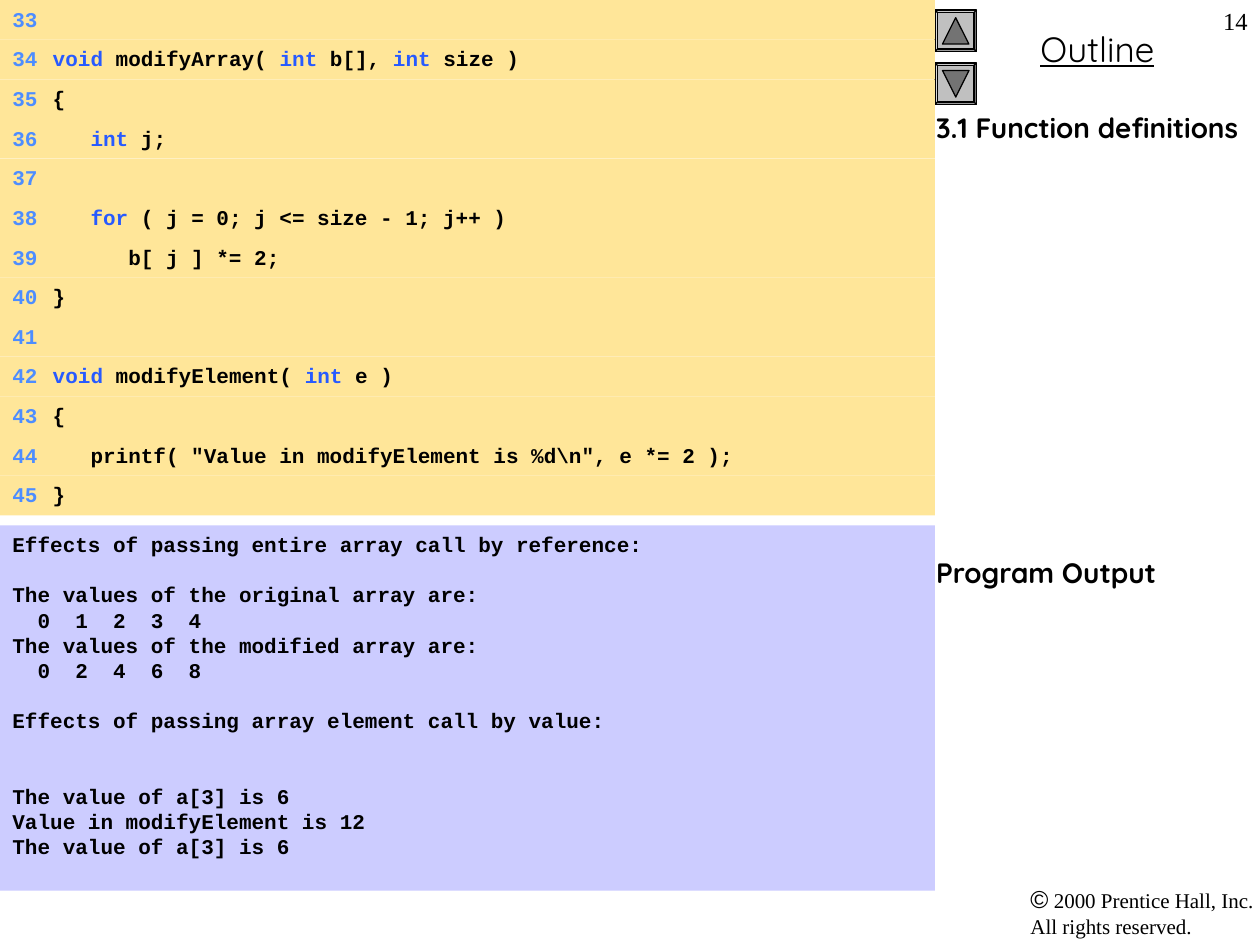
from lxml.etree import SubElement as Sub
from pptx import Presentation
from pptx.dml.color import RGBColor as RGB
from pptx.enum.shapes import MSO_SHAPE as Kind
from pptx.enum.text import MSO_ANCHOR as Anchor, MSO_AUTO_SIZE as Fit, PP_ALIGN as Align
from pptx.oxml.ns import qn
from pptx.util import Inches, Pt

BLACK = RGB(0x00, 0x00, 0x00)
SAND = RGB(0xFF, 0xE6, 0x99)
LILAC = RGB(0xCC, 0xCC, 0xFF)
NUMBER = RGB(0x4D, 0x8D, 0xFF)
KEYWORD = RGB(0x27, 0x5A, 0xFF)
SILVER = RGB(0xC0, 0xC0, 0xC0)
GREY = RGB(0x73, 0x73, 0x73)

MONO, SANS, SERIF = "Courier New", "Quicksand", "Times New Roman"
WIDE = 7.42
FIRST = 33
PITCH = 4.09 / 13

CODE = [
    "",
    "|void| modifyArray( |int| b[], |int| size )",
    "{",
    "   |int| j;",
    "",
    "   |for| ( j = 0; j <= size - 1; j++ )",
    "      b[ j ] *= 2;",
    "}",
    "",
    "|void| modifyElement( |int| e )",
    "{",
    '   printf( "Value in modifyElement is %d\\n", e *= 2 );',
    "}",
]

OUTPUT = [
    ("Effects of passing entire array call by reference:", 0),
    ("The values of the original array are:", 1),
    ("  0  1  2  3  4", 0),
    ("The values of the modified array are:", 0),
    ("  0  2  4  6  8", 0),
    ("Effects of passing array element call by value:", 1),
    ("The value of a[3] is 6", 2),
    ("Value in modifyElement is 12", 0),
    ("The value of a[3] is 6", 0),
]


def style(run, size, face, color=BLACK, bold=False):
    """Format one run."""
    font = run.font
    font.size, font.name, font.bold = Pt(size), face, bold
    font.color.rgb = color


def put(para, text, *look):
    """Add a formatted run to a paragraph."""
    run = para.add_run()
    run.text = text
    style(run, *look)


def place(shape, x, y, w, h):
    """Move and size a shape."""
    shape.left, shape.top = Inches(x), Inches(y)
    shape.width, shape.height = Inches(w), Inches(h)


def frame(shape):
    """Return a wrapped text frame anchored at the top."""
    text = shape.text_frame
    text.word_wrap = True
    text.auto_size = Fit.NONE
    text.vertical_anchor = Anchor.TOP
    return text


def draw(slide, kind, x, y, w, h, fill, edge=None):
    """Add a filled preset shape."""
    shape = slide.shapes.add_shape(kind, Inches(x), Inches(y), Inches(w), Inches(h))
    shape.shadow.inherit = False
    shape.fill.solid()
    shape.fill.fore_color.rgb = fill
    if edge is None:
        shape.line.fill.background()
    else:
        shape.line.color.rgb = edge
        shape.line.width = Pt(0.75)
    return shape


def box(slide, x, y, w, h):
    """Add a text box and return its frame."""
    return frame(slide.shapes.add_textbox(Inches(x), Inches(y), Inches(w), Inches(h)))


def set_tabs(para, stops):
    """Give a paragraph its tab stops."""
    tabs = Sub(para._p.get_or_add_pPr(), qn("a:tabLst"))
    for pos, side in stops:
        Sub(tabs, qn("a:tab"), pos=str(Inches(pos)), algn=side)


def add_code(slide):
    """Draw the numbered code rows."""
    for row, line in enumerate(CODE):
        band = draw(slide, Kind.RECTANGLE, 0, row * PITCH, WIDE, PITCH, SAND)
        para = frame(band).paragraphs[0]
        para.alignment = Align.LEFT
        set_tabs(para, [(0, "l"), (0.15, "r"), (0.32, "l")])
        put(para, f"\t{FIRST + row}\t", 12, MONO, NUMBER, True)
        for part, text in enumerate(line.split("|")):
            if text:
                put(para, text, 12, MONO, KEYWORD if part % 2 else BLACK, True)


def add_output(slide):
    """Draw the program output panel."""
    text = frame(draw(slide, Kind.RECTANGLE, 0, 4.17, WIDE, 2.9, LILAC))
    text.text = "\n".join(line for line, gap in OUTPUT)
    for para, (line, gap) in zip(text.paragraphs, OUTPUT):
        para.alignment = Align.LEFT
        para.space_before = Pt(14.4 * gap)
        style(para.runs[0], 12, MONO, BLACK, True)


def add_button(slide, y, tip, turn):
    """Draw a bevelled button with a triangle."""
    face = draw(slide, Kind.BEVEL, WIDE, y, 0.33, 0.33, SILVER, BLACK)
    face.adjustments[0] = 0.06
    arrow = draw(slide, Kind.ISOSCELES_TRIANGLE, 7.48, tip, 0.21, 0.21, GREY, BLACK)
    arrow.rotation = turn


def add_title(slide):
    """Fill the title placeholder."""
    title = slide.shapes.title
    place(title, WIDE, 0.17, 2.58, 0.44)
    text = frame(title)
    text.text = "Outline"
    para = text.paragraphs[0]
    para.alignment = Align.CENTER
    style(para.runs[0], 20, SANS)
    para.runs[0].font.underline = True


def add_notes(slide):
    """Fill the body placeholder with the side headings."""
    body = slide.placeholders[1]
    place(body, 7.33, 0.83, 2.67, 6.67)
    text = frame(body)
    text.text = "3.1 Function definitions\nProgram Output"
    for para, gap in zip(text.paragraphs, (0, 235)):
        para.space_before = Pt(gap)
        props = para._p.get_or_add_pPr()
        props.set("marL", "0")
        props.set("indent", "0")
        Sub(props, qn("a:buNone"))
        style(para.runs[0], 16, SANS, BLACK, True)


def add_footer(slide):
    """Add the copyright line and the page number."""
    para = box(slide, 8.08, 6.97, 3.92, 0.54).paragraphs[0]
    put(para, "©", 14, "Arial")
    put(para, " 2000 Prentice Hall, Inc.", 12, SERIF)
    para.add_line_break()
    put(para, "All rights reserved.", 12, SERIF)
    para = box(slide, 7.92, 0, 2.08, 0.5).paragraphs[0]
    para.alignment = Align.RIGHT
    put(para, "14", 14, SERIF)


def main():
    """Build the slide and save it."""
    deck = Presentation()
    deck.slide_width, deck.slide_height = Inches(10), Inches(7.5)
    slide = deck.slides.add_slide(deck.slide_layouts[1])
    add_title(slide)
    add_button(slide, 0.08, 0.14, 0)
    add_button(slide, 0.5, 0.56, 180)
    add_notes(slide)
    add_code(slide)
    add_output(slide)
    add_footer(slide)
    deck.save("out.pptx")


if __name__ == "__main__":
    main()
